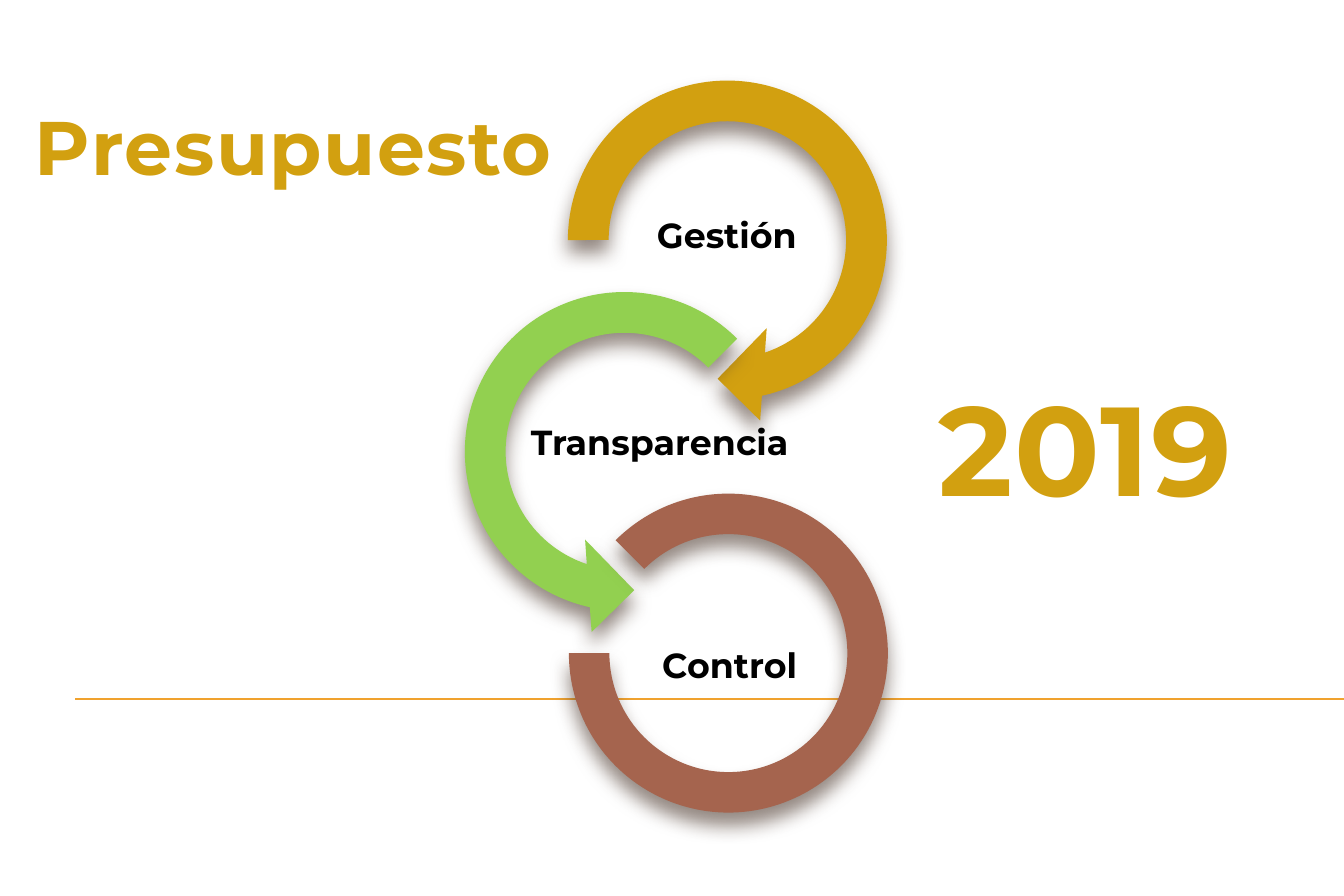
from dataclasses import dataclass

from lxml.etree import SubElement
from pptx import Presentation
from pptx.dml.color import RGBColor
from pptx.enum.shapes import MSO_CONNECTOR, MSO_SHAPE
from pptx.enum.text import MSO_ANCHOR, MSO_AUTO_SIZE, PP_ALIGN
from pptx.oxml.ns import qn
from pptx.shapes.autoshape import Shape
from pptx.slide import Slide
from pptx.util import Cm, Pt

COLORS = {
    "gold": "D2A010",
    "green": "92D050",
    "brown": "A5644E",
    "rule": "F0A22E",
    "shadow": "4E3B30",
    "text": "000000",
}
FONT = "Montserrat"
LABEL_HEIGHT = 1.14


@dataclass(frozen=True)
class Ring:
    """A curved shape and its label; lengths in centimetres."""
    kind: MSO_SHAPE
    left: float
    top: float
    size: float
    adjustments: tuple[float, ...]
    color: str
    label: str
    label_left: float
    label_top: float
    label_width: float


@dataclass(frozen=True)
class Heading:
    """A large gold text; lengths in centimetres."""
    text: str
    left: float
    top: float
    width: float
    height: float
    points: int


RINGS = (
    Ring(MSO_SHAPE.CIRCULAR_ARROW, 6.05, 0.61, 4.14,
         (0.11, 11.42, 45, 108, 0.125), "gold", "Gestión", 6.96, 2.08, 2.31),
    Ring(MSO_SHAPE.LEFT_CIRCULAR_ARROW, 4.9, 2.97, 4.14,
         (0.11, 11.42, 63, 189, 0.125), "green", "Transparencia", 5.64, 4.39, 3.45),
    Ring(MSO_SHAPE.BLOCK_ARC, 6.35, 5.51, 3.56,
         (135, 108, 0.127), "brown", "Control", 6.99, 6.88, 2.31),
)
TITLE = Heading("Presupuesto", 0, 0.99, 6.55, 1.27, 24)
YEAR = Heading("2019", 9.93, 4.01, 4.37, 1.96, 40)


def rgb(name: str) -> RGBColor:
    return RGBColor.from_string(COLORS[name])


def write_text(box: Shape, text: str, points: int, color: str) -> None:
    para = box.text_frame.paragraphs[0]
    para.text = text
    para.alignment = PP_ALIGN.CENTER
    font = para.runs[0].font
    font.name = FONT
    font.size = Pt(points)
    font.bold = True
    font.color.rgb = rgb(color)


def add_shadow(shape: Shape) -> None:
    shape.shadow.inherit = False
    effects = shape._element.spPr.find(qn("a:effectLst"))
    shadow = SubElement(effects, qn("a:outerShdw"), blurRad=str(Pt(6)),
                        dist=str(Pt(4)), dir="5400000", algn="ctr", rotWithShape="0")
    tint = SubElement(shadow, qn("a:srgbClr"), val=COLORS["shadow"])
    SubElement(tint, qn("a:alpha"), val="60000")


def draw_rule(slide: Slide) -> None:
    rule = slide.shapes.add_connector(
        MSO_CONNECTOR.STRAIGHT, Cm(0.84), Cm(7.8), Cm(15), Cm(7.8))
    rule.line.color.rgb = rgb("rule")
    rule.line.width = Pt(0.75)
    SubElement(rule._element.spPr, qn("a:effectLst"))


def draw_ring(slide: Slide, ring: Ring) -> None:
    shape = slide.shapes.add_shape(
        ring.kind, Cm(ring.left), Cm(ring.top), Cm(ring.size), Cm(ring.size))
    for index, value in enumerate(ring.adjustments):
        shape.adjustments[index] = value
    shape.fill.solid()
    shape.fill.fore_color.rgb = rgb(ring.color)
    shape.line.fill.background()
    add_shadow(shape)

    label = slide.shapes.add_textbox(
        Cm(ring.label_left), Cm(ring.label_top), Cm(ring.label_width), Cm(LABEL_HEIGHT))
    frame = label.text_frame
    frame.word_wrap = True
    frame.vertical_anchor = MSO_ANCHOR.MIDDLE
    frame.margin_left = frame.margin_right = Cm(0.02)
    frame.margin_top = frame.margin_bottom = Cm(0.02)
    write_text(label, ring.label, 11, "text")
    para = frame.paragraphs[0]
    para.line_spacing = 0.9
    para.space_after = Pt(4)


def format_heading(box: Shape, heading: Heading) -> None:
    box.left, box.top = Cm(heading.left), Cm(heading.top)
    box.width, box.height = Cm(heading.width), Cm(heading.height)
    frame = box.text_frame
    frame.word_wrap = False
    frame.auto_size = MSO_AUTO_SIZE.SHAPE_TO_FIT_TEXT
    frame.vertical_anchor = MSO_ANCHOR.TOP
    write_text(box, heading.text, heading.points, "gold")
    # Letter spacing in hundredths of a point
    frame.paragraphs[0].runs[0].font._element.set("spc", "50")


def main() -> None:
    deck = Presentation()
    deck.slide_width, deck.slide_height = Cm(15), Cm(10)
    slide = deck.slides.add_slide(deck.slide_layouts.get_by_name("Title Only"))

    # Base line, then the chain of rings
    draw_rule(slide)
    for ring in RINGS:
        draw_ring(slide, ring)

    # Title and year
    format_heading(slide.shapes.title, TITLE)
    format_heading(slide.shapes.add_textbox(0, 0, 0, 0), YEAR)

    deck.save("out.pptx")


if __name__ == "__main__":
    main()
